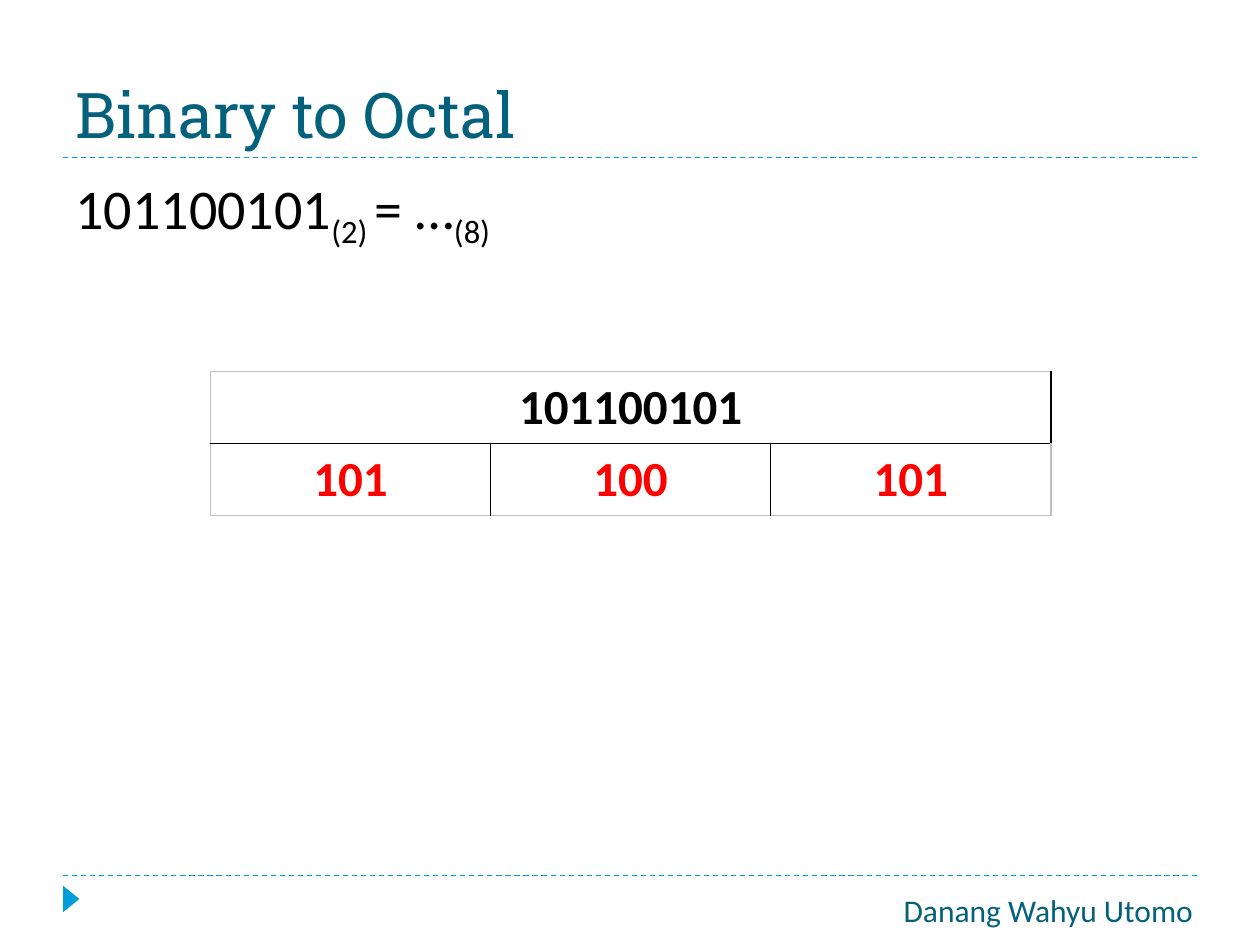
from lxml.etree import SubElement
from pptx import Presentation
from pptx.dml.color import RGBColor
from pptx.enum.dml import MSO_LINE
from pptx.enum.shapes import MSO_CONNECTOR, MSO_SHAPE
from pptx.enum.text import MSO_ANCHOR, MSO_AUTO_SIZE, PP_ALIGN
from pptx.oxml.ns import qn
from pptx.util import Inches, Pt

TEAL, BLUE, BLACK, RED, GRAY = "04617B", "009DD9", "000000", "FF0000", "BFBFBF"


def color(code):
    return RGBColor.from_string(code)


def write(para, text, size=18, font="Calibri", fill=BLACK, bold=False,
          base=0, align=PP_ALIGN.LEFT):
    para.alignment = align
    para.space_before = Pt(0)
    run = para.add_run()
    run.text = text
    run.font.size = Pt(size)
    run.font.name = font
    run.font.bold = bold
    run.font.color.rgb = color(fill)
    if base:
        run.font._element.set("baseline", str(base * 1000))


def edge(cell, side, code):
    line = SubElement(cell._tc.get_or_add_tcPr(), qn("a:ln" + side), w=str(Pt(1)))
    fill = SubElement(line, qn("a:solidFill"))
    SubElement(fill, qn("a:srgbClr"), val=code)


class Deck:
    def __init__(self):
        self.file = Presentation()
        self.file.slide_width, self.file.slide_height = Inches(10), Inches(7.5)
        self.slide = self.file.slides.add_slide(self.file.slide_layouts[1])
        self.shapes = self.slide.shapes

    def rule(self, y):
        line = self.shapes.add_connector(
            MSO_CONNECTOR.STRAIGHT, Inches(0.5), Inches(y), Inches(9.5), Inches(y))
        line.line.color.rgb = color(BLUE)
        line.line.width = Pt(0.75)
        line.line.dash_style = MSO_LINE.DASH
        SubElement(line._element.spPr, qn("a:effectLst"))

    def marker(self, *box):
        mark = self.shapes.add_shape(MSO_SHAPE.ISOSCELES_TRIANGLE, *map(Inches, box))
        mark.rotation = 90
        mark.shadow.inherit = False
        mark.fill.solid()
        mark.fill.fore_color.rgb = color(BLUE)
        mark.line.fill.background()

    def label(self, text, *box):
        frame = self.shapes.add_textbox(*map(Inches, box)).text_frame
        frame.word_wrap = True
        write(frame.paragraphs[0], text, fill=TEAL, align=PP_ALIGN.CENTER)

    def holder(self, item, anchor, *box):
        item.left, item.top, item.width, item.height = map(Inches, box)
        frame = item.text_frame
        frame.auto_size = MSO_AUTO_SIZE.NONE
        frame.vertical_anchor = anchor
        return frame.paragraphs[0]

    def title(self, text):
        para = self.holder(self.shapes.title, MSO_ANCHOR.BOTTOM, 0.5, 0.17, 9, 1.08)
        write(para, text, size=36, font="Roboto Slab", fill=TEAL)

    def body(self, parts):
        para = self.holder(self.slide.placeholders[1], MSO_ANCHOR.TOP,
                           0.5, 1.33, 9, 5.4)
        props = para._p.get_or_add_pPr()
        props.set("marL", str(Inches(0.3)))
        props.set("indent", str(Inches(-0.3)))
        SubElement(props, qn("a:buNone"))
        for text, base in parts:
            write(para, text, size=32, base=base)

    def table(self, whole, groups, *box):
        count = len(groups)
        grid = self.shapes.add_table(2, count, *map(Inches, box)).table
        grid.first_row = grid.horz_banding = False
        grid.cell(0, 0).merge(grid.cell(0, count - 1))
        for row, texts in enumerate([[whole], groups]):
            for col in range(count):
                cell = grid.cell(row, col)
                # Gray frame outside, black lines inside
                edge(cell, "L", BLACK if col else GRAY)
                edge(cell, "R", BLACK if col < count - 1 else GRAY)
                edge(cell, "T", BLACK if row else GRAY)
                edge(cell, "B", GRAY if row else BLACK)
                cell.fill.background()
                if col < len(texts):
                    write(cell.text_frame.paragraphs[0], texts[col], size=28,
                          fill=RED if row else BLACK, bold=True,
                          align=PP_ALIGN.CENTER)


def main():
    deck = Deck()
    # Frame of the slide
    deck.rule(6.95)
    deck.rule(1.25)
    deck.marker(0.46, 7.07, 0.21, 0.13)
    deck.label("Danang Wahyu Utomo", 6.72, 7.02, 3.2, 0.4)
    # Title and problem
    number = "101100101"
    deck.title("Binary to Octal")
    deck.body([(number, 0), ("(2) ", -25), ("= …", 0), ("(8)", -25)])
    # Number split into groups of three bits
    groups = [number[i:i + 3] for i in range(0, len(number), 3)]
    deck.table(number, groups, 1.67, 2.95, 6.67, 1.14)
    deck.file.save("out.pptx")


if __name__ == "__main__":
    main()
